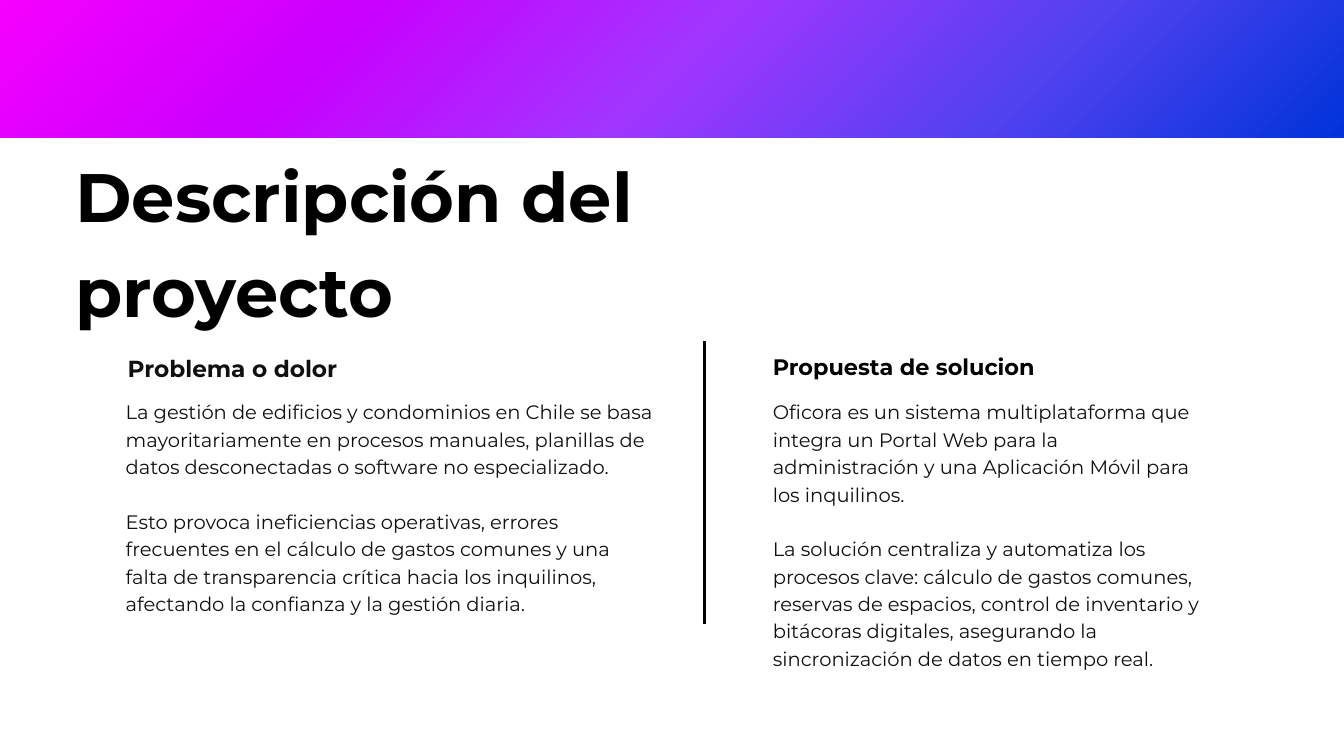
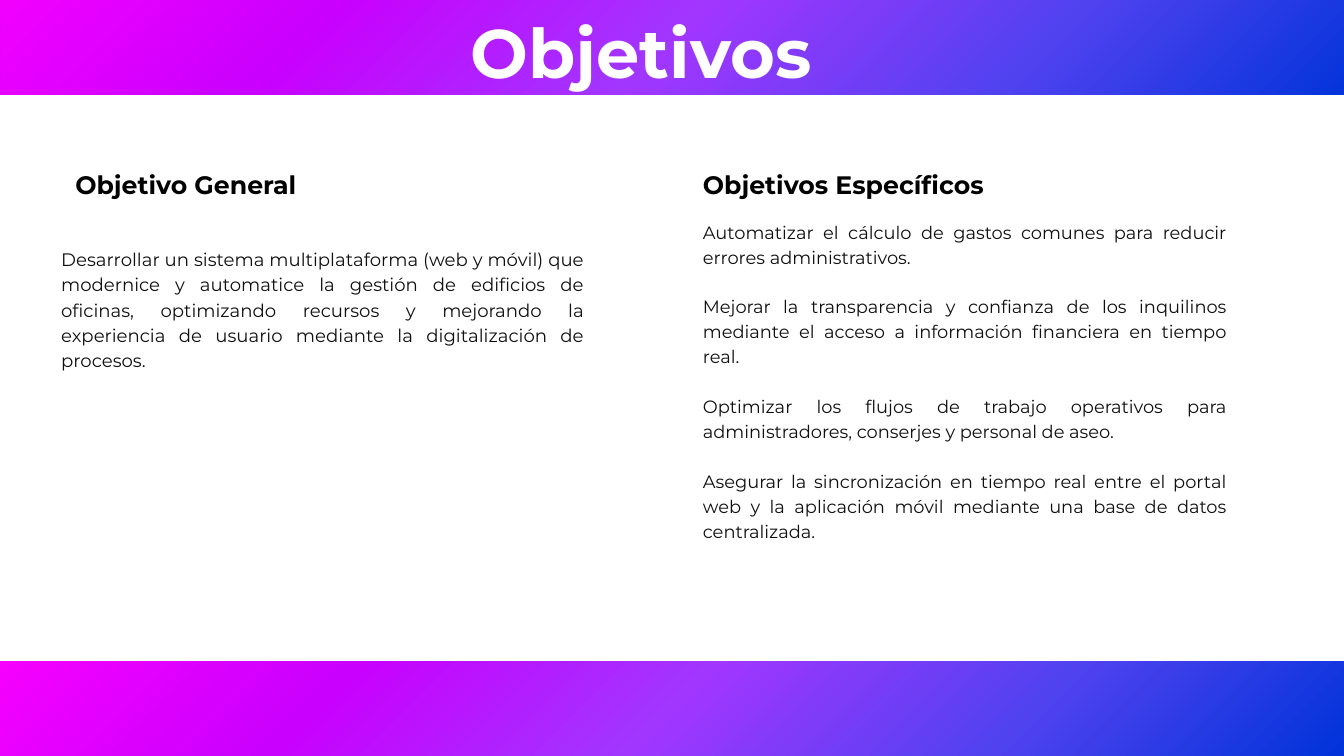
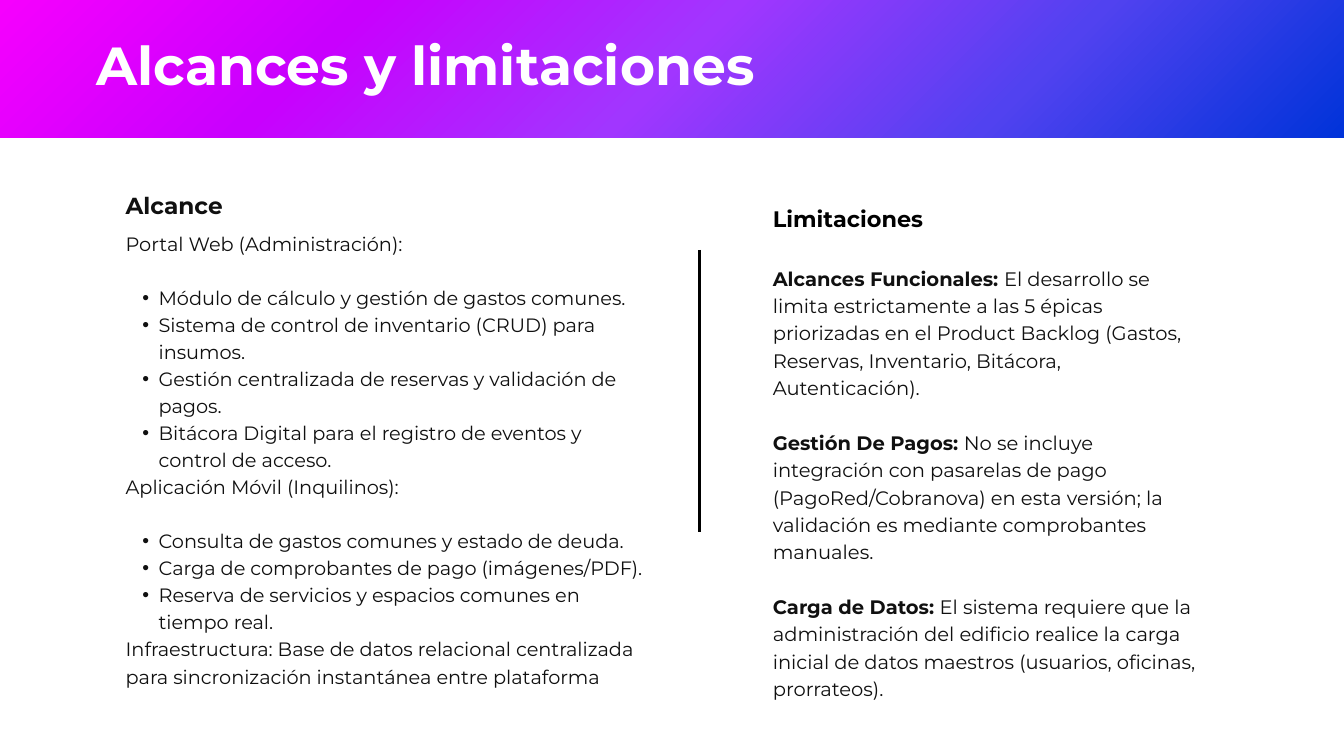
from dataclasses import dataclass

from lxml import etree
from pptx import Presentation
from pptx.dml.color import RGBColor
from pptx.enum.shapes import MSO_CONNECTOR, MSO_SHAPE
from pptx.enum.text import MSO_ANCHOR, MSO_AUTO_SIZE, PP_ALIGN
from pptx.oxml.ns import qn
from pptx.util import Inches, Pt

FONT = "Montserrat"
COLORS = {"black": "000000", "ink": "101010", "white": "FFFFFF"}
BAND_STOPS = {0: "F600FE", 25: "C900FE", 50: "A136FF", 75: "5142F0", 100: "0033D9"}
COMPARISON_LAYOUT = 4  # title, then heading and body for each column


@dataclass
class Style:
    size: float
    spacing: float
    color: str = "ink"
    bold: bool = False
    align: PP_ALIGN = PP_ALIGN.LEFT


@dataclass
class Item:
    text: str
    lead: str = ""
    bullet: bool = False
    gap: bool = False  # one empty line's height above


BIG_TITLE = Style(73.4, 102.8, "black", True)
BAND_TITLE = Style(73.4, 102.8, "white", True, PP_ALIGN.RIGHT)
LONG_TITLE = Style(57.4, 80.4, "white", True)
LEFT_HEADING = Style(24.9, 34.9, bold=True)
RIGHT_HEADING = Style(24, 33.6, "black", True)
GOAL_HEADING = Style(27, 32.4, "black", True)
BODY = Style(20.9, 29.3)
SCOPE_BODY = Style(20.7, 29)
GENERAL_BODY = Style(19.4, 27.2, align=PP_ALIGN.JUSTIFY)
SPECIFIC_BODY = Style(19.1, 26.7, align=PP_ALIGN.JUSTIFY)


# Text
def add_run(para, text, style, bold):
    span = para.add_run()
    span.text = text
    span.font.name = FONT
    span.font.size = Pt(style.size)
    span.font.bold = bold
    span.font.color.rgb = RGBColor.from_string(COLORS[style.color])


def set_bullet(para, bullet):
    props = para._p.get_or_add_pPr()
    props.set("marL", str(Inches(0.49) if bullet else 0))
    props.set("indent", str(Inches(-0.24) if bullet else 0))
    if bullet:
        para.level = 1
        etree.SubElement(props, qn("a:buFont"), typeface="Arial")
        etree.SubElement(props, qn("a:buChar"), char="•")
    else:
        etree.SubElement(props, qn("a:buNone"))


def fill_placeholder(box, place, style, items):
    box.left, box.top, box.width, box.height = map(Inches, place)
    frame = box.text_frame
    frame.margin_left = frame.margin_top = frame.margin_right = frame.margin_bottom = 0
    frame.word_wrap = True
    frame.auto_size = MSO_AUTO_SIZE.NONE
    frame.vertical_anchor = MSO_ANCHOR.TOP
    for index, item in enumerate(items):
        para = frame.add_paragraph() if index else frame.paragraphs[0]
        para.alignment = style.align
        para.line_spacing = Pt(style.spacing)
        para.space_before = Pt(style.spacing if item.gap else 0)
        para.space_after = Pt(0)
        set_bullet(para, item.bullet)
        if item.lead:
            add_run(para, item.lead, style, True)
        add_run(para, item.text, style, style.bold)


def spaced(*texts):
    return [Item(text, gap=index > 0) for index, text in enumerate(texts)]


def bullets(*texts):
    return [Item(text, bullet=True, gap=index == 0) for index, text in enumerate(texts)]


# Decoration
def add_band(page, left, top, width, height):
    band = page.shapes.add_shape(
        MSO_SHAPE.RECTANGLE, *map(Inches, (left, top, width, height)))
    band.shadow.inherit = False
    band.line.fill.background()
    gradient = etree.Element(qn("a:gradFill"), rotWithShape="1")
    stops = etree.SubElement(gradient, qn("a:gsLst"))
    for percent, color in BAND_STOPS.items():
        stop = etree.SubElement(stops, qn("a:gs"), pos=str(percent * 1000))
        etree.SubElement(stop, qn("a:srgbClr"), val=color)
    sweep = etree.SubElement(gradient, qn("a:path"), path="circle")
    etree.SubElement(sweep, qn("a:fillToRect"), l="0", t="0", r="100000", b="100000")
    band.element.spPr.find(qn("a:prstGeom")).addnext(gradient)
    # Send behind the placeholders
    band.element.getparent().insert(2, band.element)


def add_divider(page, x, top, bottom):
    divider = page.shapes.add_connector(
        MSO_CONNECTOR.STRAIGHT, *map(Inches, (x, top, x, bottom)))
    divider.line.width = Pt(3)
    divider.line.color.rgb = RGBColor.from_string(COLORS["black"])
    etree.SubElement(divider.element.spPr, qn("a:effectLst"))


# Slides
def add_page(deck, *blocks):
    """Blocks go title, left heading, left body, right heading, right body."""
    page = deck.slides.add_slide(deck.slide_layouts[COMPARISON_LAYOUT])
    for box, block in zip(page.placeholders, blocks):
        fill_placeholder(box, *block)
    return page


def add_description(deck):
    page = add_page(
        deck,
        ((1.12, 2.08, 9.35, 2.78), BIG_TITLE, spaced("Descripción del proyecto")),
        ((1.9, 5.2, 7.87, 0.45), LEFT_HEADING, spaced("Problema o dolor")),
        ((1.87, 5.9, 7.87, 3.6), BODY, spaced(
            "La gestión de edificios y condominios en Chile se basa mayoritariamente en "
            "procesos manuales, planillas de datos desconectadas o software no especializado.",
            "Esto provoca ineficiencias operativas, errores frecuentes en el cálculo de gastos "
            "comunes y una falta de transparencia crítica hacia los inquilinos, afectando la "
            "confianza y la gestión diaria.")),
        ((11.5, 5.19, 4.93, 0.43), RIGHT_HEADING, spaced("Propuesta de solucion")),
        ((11.5, 5.9, 6.39, 4.01), BODY, spaced(
            "Oficora es un sistema multiplataforma que integra un Portal Web para la "
            "administración y una Aplicación Móvil para los inquilinos.",
            "La solución centraliza y automatiza los procesos clave: cálculo de gastos comunes, "
            "reservas de espacios, control de inventario y bitácoras digitales, asegurando la "
            "sincronización de datos en tiempo real.")))
    add_band(page, 0, 0, 20, 2.05)
    add_divider(page, 10.48, 5.07, 9.28)


def add_goals(deck):
    page = add_page(
        deck,
        ((5.64, -0.05, 6.44, 1.37), BAND_TITLE, spaced("Objetivos")),
        ((1.12, 2.52, 4.44, 0.45), GOAL_HEADING, spaced("Objetivo General")),
        ((0.91, 3.64, 7.79, 1.87), GENERAL_BODY, spaced(
            "Desarrollar un sistema multiplataforma (web y móvil) que modernice y automatice "
            "la gestión de edificios de oficinas, optimizando recursos y mejorando la "
            "experiencia de usuario mediante la digitalización de procesos.")),
        ((10.46, 2.52, 4.44, 0.45), GOAL_HEADING, spaced("Objetivos Específicos")),
        ((10.46, 3.24, 7.79, 4.73), SPECIFIC_BODY, spaced(
            "Automatizar el cálculo de gastos comunes para reducir errores administrativos.",
            "Mejorar la transparencia y confianza de los inquilinos mediante el acceso a "
            "información financiera en tiempo real.",
            "Optimizar los flujos de trabajo operativos para administradores, conserjes y "
            "personal de aseo.",
            "Asegurar la sincronización en tiempo real entre el portal web y la aplicación "
            "móvil mediante una base de datos centralizada.")))
    add_band(page, 0, 9.84, 20, 1.41)
    add_band(page, 0.01, -0.51, 20.32, 1.92)


def add_scope(deck):
    scope = [
        Item("Portal Web (Administración):"),
        *bullets(
            "Módulo de cálculo y gestión de gastos comunes.",
            "Sistema de control de inventario (CRUD) para insumos.",
            "Gestión centralizada de reservas y validación de pagos.",
            "Bitácora Digital para el registro de eventos y control de acceso."),
        Item("Aplicación Móvil (Inquilinos):"),
        *bullets(
            "Consulta de gastos comunes y estado de deuda.",
            "Carga de comprobantes de pago (imágenes/PDF).",
            "Reserva de servicios y espacios comunes en tiempo real."),
        Item("Infraestructura: Base de datos relacional centralizada para sincronización "
             "instantánea entre plataforma"),
    ]
    limits = [
        Item("El desarrollo se limita estrictamente a las 5 épicas priorizadas en el Product "
             "Backlog (Gastos, Reservas, Inventario, Bitácora, Autenticación).",
             "Alcances Funcionales: "),
        Item("No se incluye integración con pasarelas de pago (PagoRed/Cobranova) en esta "
             "versión; la validación es mediante comprobantes manuales.",
             "Gestión De Pagos: ", gap=True),
        Item("El sistema requiere que la administración del edificio realice la carga inicial "
             "de datos maestros (usuarios, oficinas, prorrateos).",
             "Carga de Datos: ", gap=True),
    ]
    page = add_page(
        deck,
        ((1.44, 0.32, 13.8, 1.08), LONG_TITLE, spaced("Alcances y limitaciones")),
        ((1.87, 2.77, 7.87, 0.45), LEFT_HEADING, spaced("Alcance")),
        ((1.87, 3.39, 7.78, 7.13), SCOPE_BODY, scope),
        ((11.5, 2.98, 4.93, 0.43), RIGHT_HEADING, spaced("Limitaciones")),
        ((11.5, 3.91, 6.39, 6.48), BODY, limits))
    add_band(page, 0, 0, 20, 2.05)
    add_divider(page, 10.41, 3.72, 7.92)


def main():
    deck = Presentation()
    deck.slide_width, deck.slide_height = Inches(20), Inches(11.25)
    add_description(deck)
    add_goals(deck)
    add_scope(deck)
    deck.save("out.pptx")


if __name__ == "__main__":
    main()
